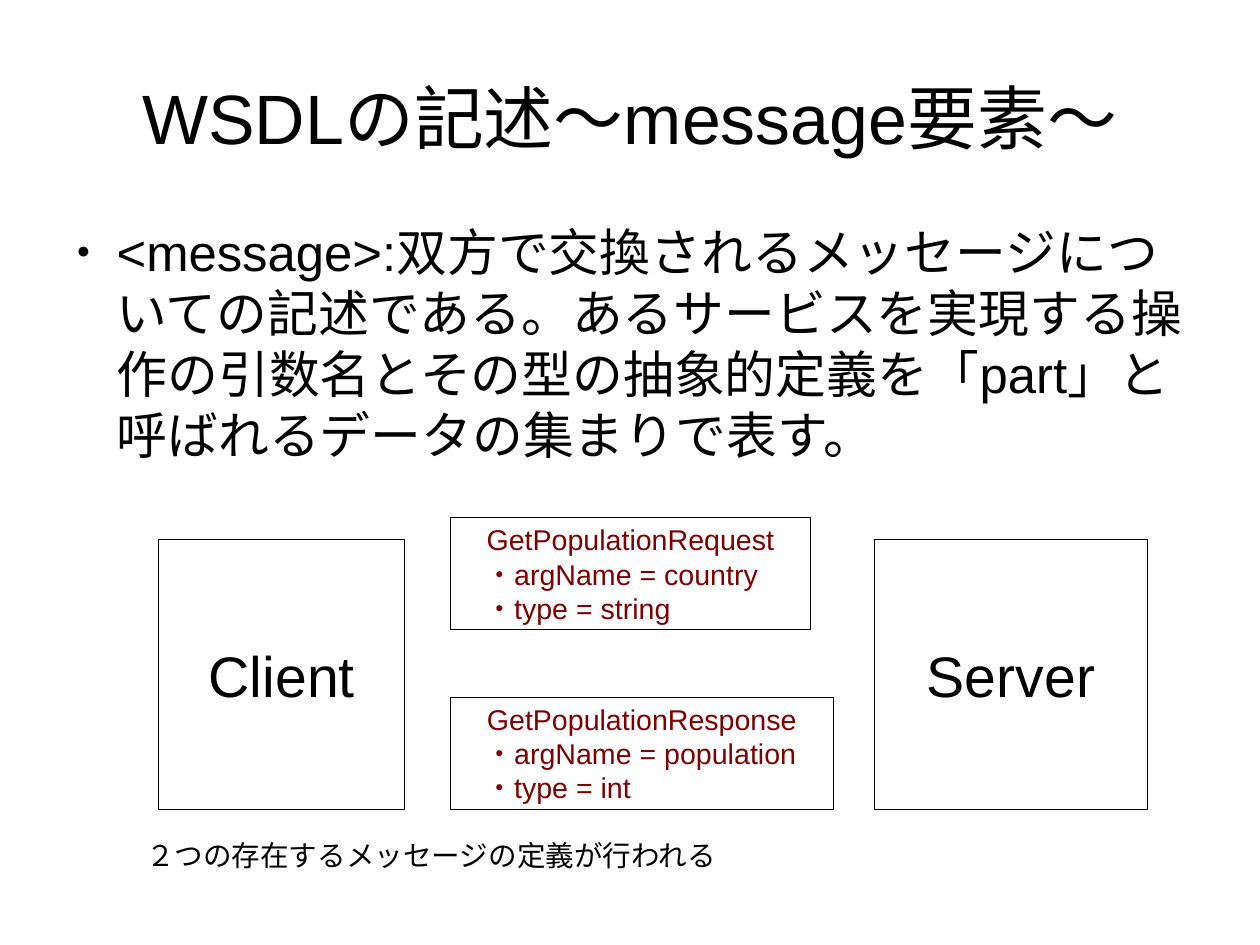
from lxml import etree
from pptx import Presentation
from pptx.dml.color import RGBColor
from pptx.enum.shapes import MSO_SHAPE
from pptx.enum.text import MSO_ANCHOR, MSO_AUTO_SIZE, PP_ALIGN
from pptx.oxml.ns import qn
from pptx.util import Cm, Inches, Pt

BLACK = RGBColor(0x00, 0x00, 0x00)
MAROON = RGBColor(0x80, 0x00, 0x00)


def style_text(frame, size, color, align=PP_ALIGN.LEFT):
    for paragraph in frame.paragraphs:
        paragraph.alignment = align
        for run in paragraph.runs:
            run.font.name = "Arial"
            run.font.size = Pt(size)
            run.font.color.rgb = color


def add_box(left, top, width, height, text, size, color):
    box = slide.shapes.add_shape(MSO_SHAPE.RECTANGLE, Inches(left), Inches(top),
                                 Inches(width), Inches(height))
    box.shadow.inherit = False
    box.fill.background()
    box.line.color.rgb = BLACK
    box.line.width = Pt(0)
    frame = box.text_frame
    frame.text = text
    frame.word_wrap = False
    frame.vertical_anchor = MSO_ANCHOR.MIDDLE
    style_text(frame, size, color)
    frame.paragraphs[0].alignment = PP_ALIGN.CENTER
    return frame


prs = Presentation()
prs.slide_width, prs.slide_height = Cm(28), Cm(21)
slide = prs.slides.add_slide(prs.slide_layouts[1])

# Title and description
title, description = slide.placeholders
title.text_frame.text = "WSDLの記述～message要素～"
description.text_frame.text = (
    "<message>:双方で交換されるメッセージについての記述である。"
    "あるサービスを実現する操作の引数名とその型の抽象的定義を"
    "「part」と呼ばれるデータの集まりで表す。")
for holder, top, height in ((title, 0.33, 1.38), (description, 1.93, 5.46)):
    holder.left, holder.top = Inches(0.55), Inches(top)
    holder.width, holder.height = Inches(9.92), Inches(height)
    frame = holder.text_frame
    frame.margin_left = frame.margin_right = 0
    frame.margin_top = frame.margin_bottom = 0
    frame.auto_size = MSO_AUTO_SIZE.NONE
title.text_frame.vertical_anchor = MSO_ANCHOR.MIDDLE
style_text(title.text_frame, 44, BLACK, PP_ALIGN.CENTER)

# Bullet of the description
definition = description.text_frame.paragraphs[0]
definition.space_before = Pt(0)
definition.space_after = Pt(14.1)
properties = definition._p.get_or_add_pPr()
properties.set("marL", str(Inches(0.47)))
properties.set("indent", str(-Inches(0.35)))
etree.SubElement(properties, qn("a:buSzPct"), val="45000")
etree.SubElement(properties, qn("a:buChar"), char="●")
style_text(description.text_frame, 32, BLACK)

# Both ends of the exchange
for name, left, width in (("Client", 1.39, 2.15), ("Server", 7.65, 2.39)):
    add_box(left, 4.72, width, 2.36, name, 36, BLACK)

# Messages between them, with the arguments flush with the message name
messages = (
    ("GetPopulationRequest", "country", "string", 4.53, 3.15),
    ("GetPopulationResponse", "population", "int", 6.1, 3.35),
)
for message, argument, kind, top, width in messages:
    lines = add_box(3.94, top, width, 0.98,
                    f"{message}\n・argName = {argument}\n・type = {kind}", 18, MAROON)
    for detail in lines.paragraphs[1:]:
        detail._p.get_or_add_pPr().set("marL", str(Inches(0.21)))
        for run in detail.runs:
            etree.SubElement(run.font._element, qn("a:ea"), typeface="Arial")

# Caption
caption = slide.shapes.add_textbox(Inches(1.18), Inches(7.28), Inches(7.09), Inches(0.46))
caption.text_frame.text = "２つの存在するメッセージの定義が行われる"
caption.text_frame.word_wrap = True
style_text(caption.text_frame, 18, BLACK)

prs.save("out.pptx")
